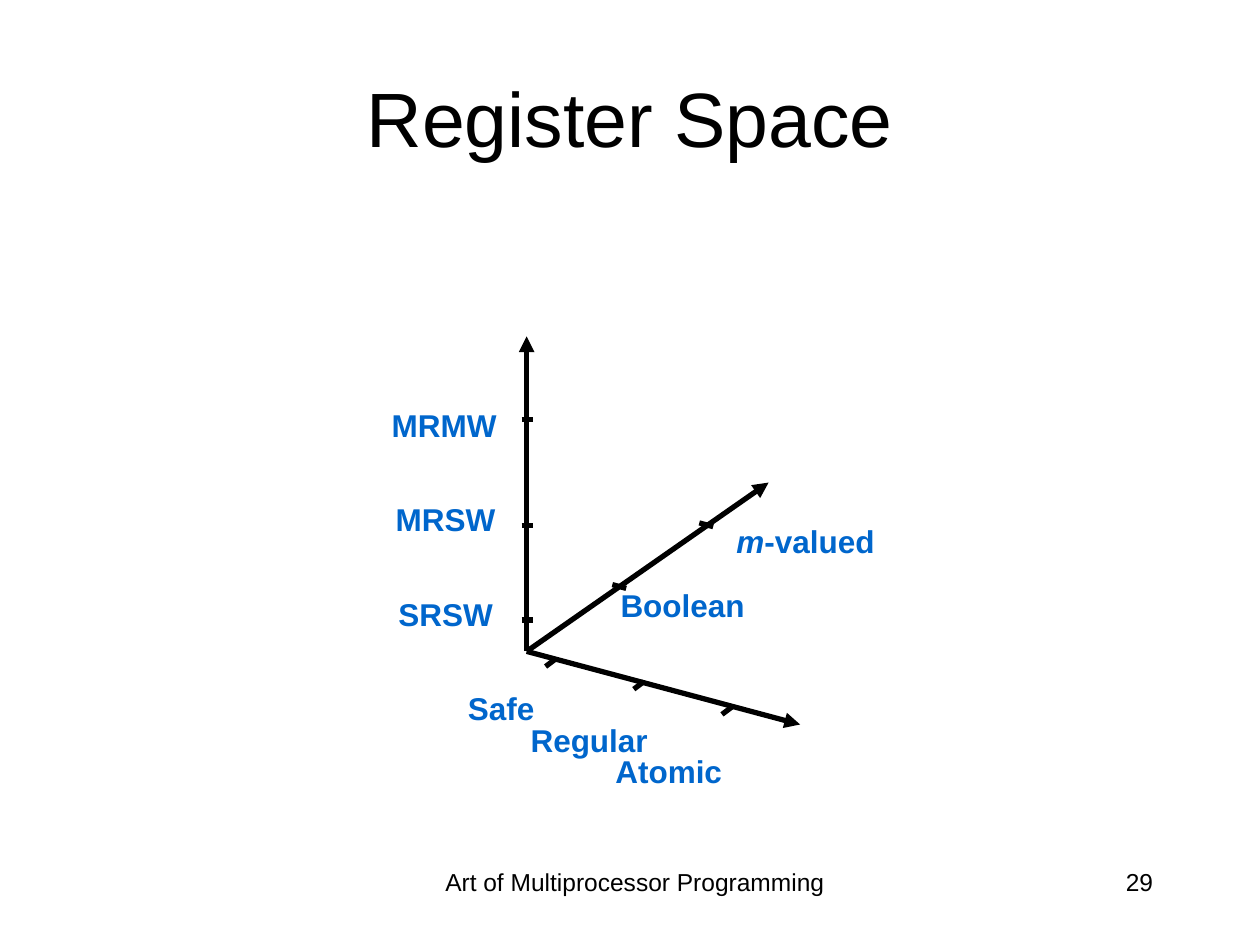
from lxml import etree
from pptx import Presentation
from pptx.dml.color import RGBColor
from pptx.enum.shapes import MSO_CONNECTOR as Connector
from pptx.enum.text import MSO_ANCHOR as Anchor, MSO_AUTO_SIZE as AutoSize, PP_ALIGN as Align
from pptx.oxml.ns import qn
from pptx.util import Inches, Pt

COLORS = {"black": "000000", "label": "0066CC"}

presentation = Presentation()
presentation.slide_width = Inches(10)
presentation.slide_height = Inches(7.5)
slide = presentation.slides.add_slide(presentation.slide_layouts[5])


def write_text(text, box, shape=None, size=18, color="label", bold=False,
               align=Align.RIGHT, anchor=Anchor.TOP, wrap=True, italic_start=""):
    left, top, width, height = [Inches(value) for value in box]
    if shape is None:
        shape = slide.shapes.add_textbox(left, top, width, height)
    else:
        shape.left, shape.top, shape.width, shape.height = left, top, width, height
    frame = shape.text_frame
    frame.word_wrap = wrap
    frame.auto_size = AutoSize.NONE if wrap else AutoSize.SHAPE_TO_FIT_TEXT
    frame.vertical_anchor = anchor
    paragraph = frame.paragraphs[0]
    paragraph.alignment = align
    for part, italic in ((italic_start, True), (text, False)):
        if part:
            run = paragraph.add_run()
            run.text = part
            run.font.name = "Arial"
            run.font.size = Pt(size)
            run.font.bold = bold
            run.font.italic = italic
            run.font.color.rgb = RGBColor.from_string(COLORS[color])


def draw_line(start, end, arrow=False):
    points = [Inches(value) for value in (*start, *end)]
    line = slide.shapes.add_connector(Connector.STRAIGHT, *points)
    line.line.color.rgb = RGBColor.from_string(COLORS["black"])
    line.line.width = Pt(3)
    if arrow:
        etree.SubElement(line.line._get_or_add_ln(), qn("a:headEnd"), type="triangle")
    etree.SubElement(line._element.spPr, qn("a:effectLst"))


write_text("Register Space", (0.5, 0.3, 9, 1.25), shape=slide.shapes.title,
           size=44, color="black", align=Align.CENTER, anchor=Anchor.MIDDLE)

origin = (4.18, 5.17)
for tip in ((4.18, 2.67), (6.1, 3.83), (6.35, 5.75)):
    draw_line(tip, origin, arrow=True)

for y in (4.92, 4.17, 3.33):
    draw_line((4.14, y), (4.23, y))
for x, y in ((4.86, 4.64), (5.55, 4.15)):
    draw_line((x, y), (x + 0.11, y + 0.03))
for x, y in ((4.33, 5.29), (5.03, 5.47), (5.73, 5.67)):
    draw_line((x, y), (x + 0.08, y - 0.06))

labels = [
    ("MRMW", 2.98, 3.17, 1.06),
    ("MRSW", 3.01, 3.92, 1.02),
    ("SRSW", 3.04, 4.67, 0.97),
    ("Safe", 3.61, 5.42, 0.73),
    ("Regular", 4.1, 5.67, 1.14),
    ("Atomic", 4.77, 5.92, 1.06),
    ("Boolean", 4.81, 4.6, 1.2),
]
for text, left, top, width in labels:
    write_text(text, (left, top, width, 0.4), bold=True, wrap=False)
write_text("-valued", (5.72, 4.09, 1.32, 0.4), bold=True, wrap=False, italic_start="m")

write_text("Art of Multiprocessor Programming", (3.33, 6.83, 3.42, 0.52),
           size=14, color="black", align=Align.CENTER)
write_text("29", (7.17, 6.83, 2.08, 0.5), size=14, color="black")

presentation.save("out.pptx")
